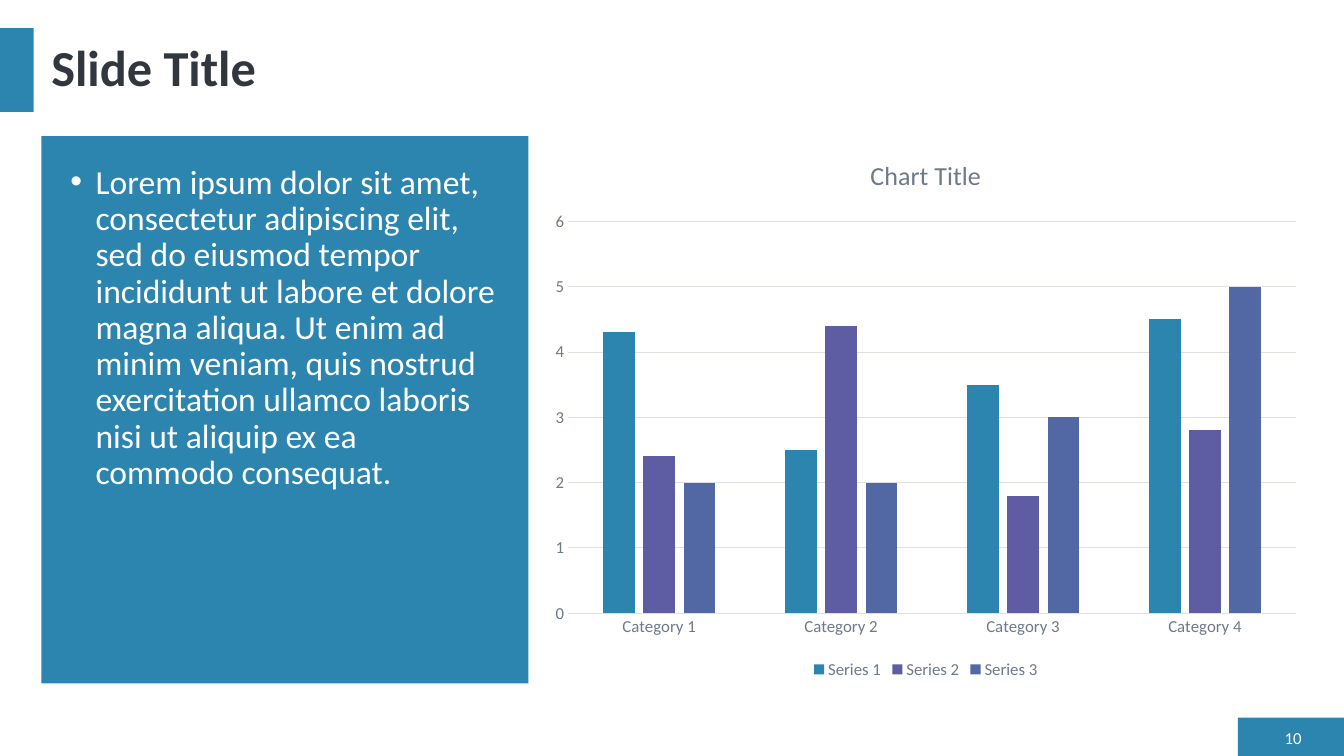
from dataclasses import dataclass

from lxml.etree import SubElement
from pptx import Presentation
from pptx.chart.data import CategoryChartData
from pptx.dml.color import RGBColor
from pptx.enum.chart import XL_CHART_TYPE, XL_LEGEND_POSITION, XL_TICK_MARK
from pptx.enum.shapes import MSO_SHAPE
from pptx.enum.text import MSO_ANCHOR, PP_ALIGN
from pptx.oxml.ns import qn
from pptx.slide import Slide
from pptx.text.text import Font
from pptx.util import Inches, Pt

SLIDE_WIDTH, SLIDE_HEIGHT = Inches(13.333), Inches(7.5)
FONT_NAME = "Calibri"
BLUE, WHITE, INK, GREY, RULE = "2C85AE", "FFFFFF", "32363F", "6F788C", "DEE0E5"


@dataclass(frozen=True)
class Frame:
    """A rectangle in percent of the slide's width and height."""

    left: float
    top: float
    width: float
    height: float

    def lengths(self) -> tuple[int, int, int, int]:
        return (
            round(SLIDE_WIDTH * self.left / 100),
            round(SLIDE_HEIGHT * self.top / 100),
            round(SLIDE_WIDTH * self.width / 100),
            round(SLIDE_HEIGHT * self.height / 100),
        )


@dataclass(frozen=True)
class Label:
    frame: Frame
    text: str
    size: float
    color: str
    bold: bool = False
    align: PP_ALIGN = PP_ALIGN.LEFT
    anchor: MSO_ANCHOR = MSO_ANCHOR.MIDDLE
    line_spacing: float = 0.9
    bullet: str = ""


@dataclass(frozen=True)
class Series:
    name: str
    values: tuple[float, ...]
    color: str


PANELS = (
    Frame(92.1, 94.93, 7.9, 5.07),
    Frame(0, 3.73, 2.5, 11.07),
    Frame(3.08, 18, 36.23, 72.4),
)
LABELS = (
    Label(Frame(3.08, 3.73, 94.5, 11.07), "Slide Title", 36, INK, bold=True),
    Label(Frame(94.5, 96, 3.08, 3.07), "10", 12, WHITE,
          align=PP_ALIGN.RIGHT, line_spacing=1.0),
    Label(
        Frame(4.5, 21.2, 33.38, 66.4),
        "Lorem ipsum dolor sit amet, consectetur adipiscing elit, sed do eiusmod "
        "tempor incididunt ut labore et dolore magna aliqua. Ut enim ad minim "
        "veniam, quis nostrud exercitation ullamco laboris nisi ut aliquip ex ea "
        "commodo consequat.",
        24, WHITE, anchor=MSO_ANCHOR.TOP, bullet="•",
    ),
)
CHART_FRAME = Frame(40.2, 18, 57.38, 72.4)
CATEGORIES = [f"Category {number}" for number in range(1, 5)]
SERIES = (
    Series("Series 1", (4.3, 2.5, 3.5, 4.5), BLUE),
    Series("Series 2", (2.4, 4.4, 1.8, 2.8), "5E5CA2"),
    Series("Series 3", (2, 2, 3, 5), "5268A5"),
)


def rgb(color: str) -> RGBColor:
    return RGBColor.from_string(color)


def style_font(font: Font, size: float, color: str, bold: bool = False) -> None:
    font.name = FONT_NAME
    font.size = Pt(size)
    font.bold = bold
    font.color.rgb = rgb(color)


def add_panel(slide: Slide, frame: Frame) -> None:
    shape = slide.shapes.add_shape(MSO_SHAPE.RECTANGLE, *frame.lengths())
    shape.shadow.inherit = False
    shape.fill.solid()
    shape.fill.fore_color.rgb = rgb(BLUE)
    shape.line.fill.background()


def add_label(slide: Slide, label: Label) -> None:
    text_frame = slide.shapes.add_textbox(*label.frame.lengths()).text_frame
    text_frame.word_wrap = True
    text_frame.vertical_anchor = label.anchor
    text_frame.text = label.text
    paragraph = text_frame.paragraphs[0]
    paragraph.alignment = label.align
    paragraph.line_spacing = label.line_spacing
    style_font(paragraph.runs[0].font, label.size, label.color, label.bold)
    if label.bullet:
        paragraph.space_before = Pt(10)
        properties = paragraph._p.get_or_add_pPr()
        properties.set("marL", str(Inches(0.25)))
        properties.set("indent", str(-Inches(0.25)))
        SubElement(properties, qn("a:buFont"), typeface="Arial")
        SubElement(properties, qn("a:buChar"), char=label.bullet)


def add_column_chart(slide: Slide, frame: Frame) -> None:
    data = CategoryChartData()
    data.categories = CATEGORIES
    for series in SERIES:
        data.add_series(series.name, series.values)
    chart = slide.shapes.add_chart(
        XL_CHART_TYPE.COLUMN_CLUSTERED, *frame.lengths(), data
    ).chart
    style_font(chart.font, 10, INK)

    chart.has_title = True
    chart.chart_title.include_in_layout = False
    chart.chart_title.text_frame.text = "Chart Title"
    title_run = chart.chart_title.text_frame.paragraphs[0].runs[0]
    style_font(title_run.font, 18.6, GREY)

    chart.has_legend = True
    chart.legend.position = XL_LEGEND_POSITION.BOTTOM
    chart.legend.include_in_layout = False
    style_font(chart.legend.font, 12, GREY)

    for axis in (chart.category_axis, chart.value_axis):
        axis.major_tick_mark = axis.minor_tick_mark = XL_TICK_MARK.NONE
        style_font(axis.tick_labels.font, 12, GREY)
    chart.value_axis.has_major_gridlines = True
    chart.value_axis.minimum_scale = 0
    chart.value_axis.maximum_scale = 6
    chart.value_axis.major_unit = 1
    chart.value_axis.format.line.fill.background()
    for rule in (chart.category_axis, chart.value_axis.major_gridlines):
        rule.format.line.color.rgb = rgb(RULE)
        rule.format.line.width = Pt(0.75)

    plot = chart.plots[0]
    plot.vary_by_categories = False
    plot.gap_width = 219
    plot.overlap = -27
    for columns, series in zip(plot.series, SERIES):
        columns.format.fill.solid()
        columns.format.fill.fore_color.rgb = rgb(series.color)


def main() -> None:
    presentation = Presentation()
    presentation.slide_width = SLIDE_WIDTH
    presentation.slide_height = SLIDE_HEIGHT
    slide = presentation.slides.add_slide(presentation.slide_layouts[6])
    for frame in PANELS:
        add_panel(slide, frame)
    for label in LABELS:
        add_label(slide, label)
    add_column_chart(slide, CHART_FRAME)
    presentation.save("out.pptx")


if __name__ == "__main__":
    main()
